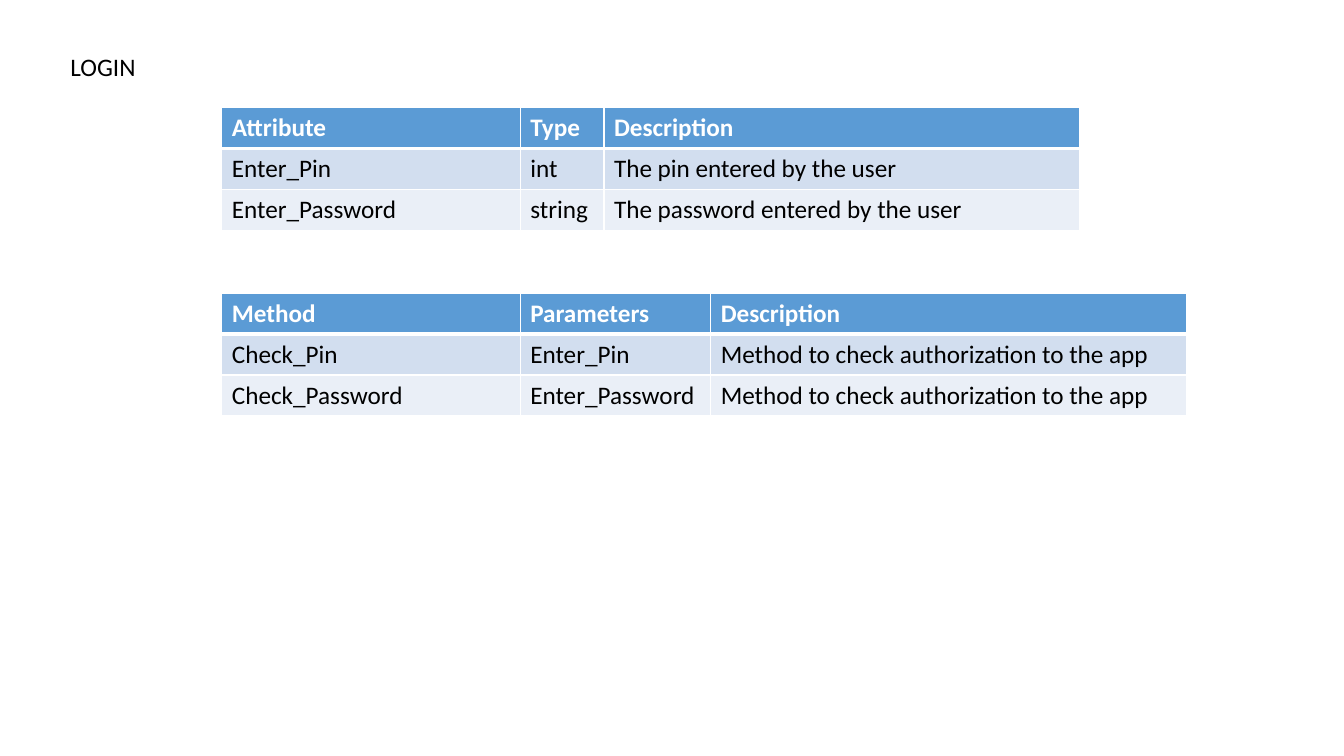
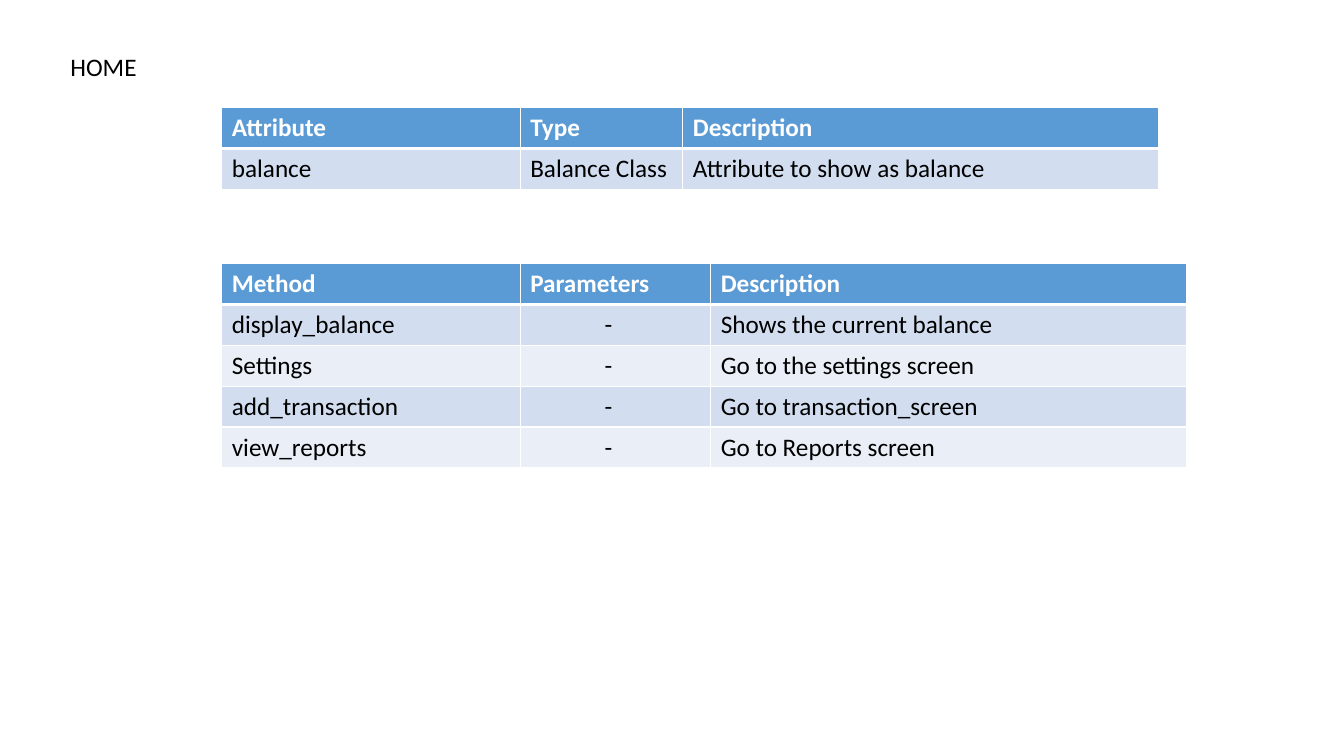
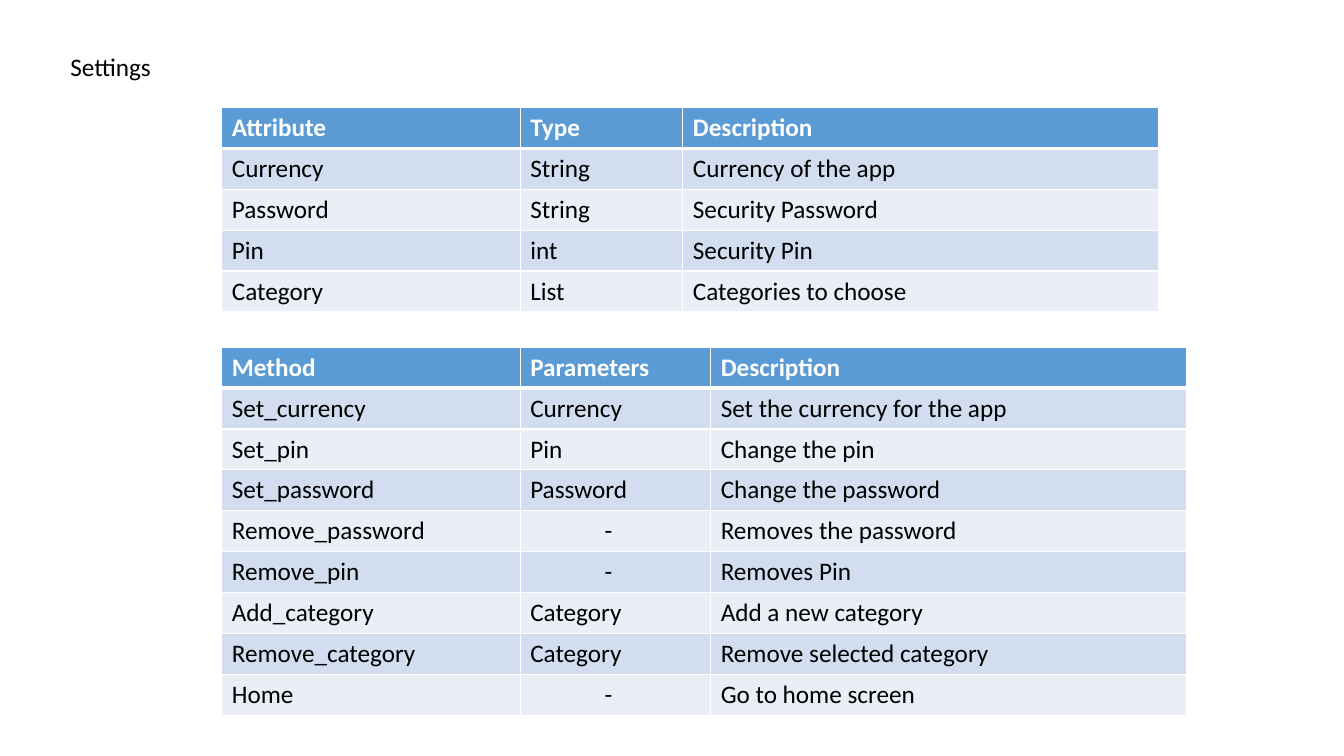
from pptx import Presentation
from pptx.dml.color import RGBColor as RGB
from pptx.enum.text import MSO_ANCHOR as ANCHOR, MSO_AUTO_SIZE as AUTO, PP_ALIGN as ALIGN
from pptx.oxml.xmlchemy import OxmlElement as Element
from pptx.util import Cm, Pt

COLORS = {"header": "5B9BD5", "odd": "D2DEEF", "even": "EAEFF7",
          "white": "FFFFFF", "text": "000000"}
FONT, SIZE = "Calibri", 18
LEFT, TOP, ROW_H = 5.59, 2.71, 1.03
NAME_W, PARAM_W, DESC_W = 7.52, 4.8, 11.99
DASH_INDENT = 1.87
ATTRIBUTE_HEAD = ("Attribute", "Type", "Description")
METHOD_HEAD = ("Method", "Parameters", "Description")

SCREENS = [
    {"title": "LOGIN", "type_w": 2.11, "method_top": 7.39,
     "attributes": [
         ("Enter_Pin", "int", "The pin entered by the user"),
         ("Enter_Password", "string", "The password entered by the user")],
     "methods": [
         ("Check_Pin", "Enter_Pin", "Method to check authorization to the app"),
         ("Check_Password", "Enter_Password", "Method to check authorization to the app")]},
    {"title": "HOME", "type_w": 4.1, "method_top": 6.64,
     "attributes": [
         ("balance", "Balance Class", "Attribute to show as balance")],
     "methods": [
         ("display_balance", "-", "Shows the current balance"),
         ("Settings", "-", "Go to the settings screen"),
         ("add_transaction", "-", "Go to transaction_screen"),
         ("view_reports", "-", "Go to Reports screen")]},
    {"title": "Settings", "type_w": 4.1, "method_top": 8.75,
     "attributes": [
         ("Currency", "String", "Currency of the app"),
         ("Password", "String", "Security Password"),
         ("Pin", "int", "Security Pin"),
         ("Category", "List", "Categories to choose")],
     "methods": [
         ("Set_currency", "Currency", "Set the currency for the app"),
         ("Set_pin", "Pin", "Change the pin"),
         ("Set_password", "Password", "Change the password"),
         ("Remove_password", "-", "Removes the password"),
         ("Remove_pin", "-", "Removes Pin"),
         ("Add_category", "Category", "Add a new category"),
         ("Remove_category", "Category", "Remove selected category"),
         ("Home", "-", "Go to home screen")]},
]


def add_run(p, text, color, bold=False):
    """Add one run in the shared font."""
    r = p.add_run()
    r.text = text
    r.font.name, r.font.size, r.font.bold = FONT, Pt(SIZE), bold
    r.font.color.rgb = RGB.from_string(COLORS[color])


def set_borders(cell, top, bottom):
    """Draw white cell borders, with top and bottom widths in points."""
    tc_pr = cell._tc.get_or_add_tcPr()
    for side, width in (("L", 1), ("R", 1), ("T", top), ("B", bottom)):
        ln = Element(f"a:ln{side}")
        ln.set("w", str(Pt(width)))
        fill, clr = Element("a:solidFill"), Element("a:srgbClr")
        clr.set("val", COLORS["white"])
        fill.append(clr)
        ln.append(fill)
        tc_pr.append(ln)


def fill_cell(cell, text, row):
    """Style a cell by its row and write its text."""
    header = row == 0
    set_borders(cell, 3 if row == 1 else 1, 3 if header else 1)
    band = "header" if header else "odd" if row % 2 else "even"
    cell.fill.solid()
    cell.fill.fore_color.rgb = RGB.from_string(COLORS[band])
    p = cell.text_frame.paragraphs[0]
    if text == "-":
        p._p.get_or_add_pPr().set("marL", str(Cm(DASH_INDENT)))
    add_run(p, text, "white" if header else "text", header)


def add_grid(s, left, top, widths, rows):
    """Place a banded table whose first row is the header."""
    table = s.shapes.add_table(len(rows), len(widths), Cm(left), Cm(top),
                               Cm(sum(widths)), Cm(ROW_H * len(rows))).table
    for col, width in zip(table.columns, widths):
        col.width = Cm(width)
    for i, values in enumerate(rows):
        table.rows[i].height = Cm(ROW_H)
        for j, text in enumerate(values):
            fill_cell(table.cell(i, j), text, i)


def add_title(s, text):
    """Place and format the slide title."""
    sp = s.shapes.title
    sp.left, sp.top, sp.width, sp.height = Cm(1.52), Cm(1.17), Cm(2.95), Cm(1.03)
    tf = sp.text_frame
    tf.word_wrap, tf.auto_size = True, AUTO.SHAPE_TO_FIT_TEXT
    tf.vertical_anchor = ANCHOR.TOP
    p = tf.paragraphs[0]
    p.alignment = ALIGN.LEFT
    add_run(p, text, "text")


def add_screen(prs, screen):
    """Add the slide that documents one screen class."""
    s = prs.slides.add_slide(prs.slide_layouts[5])
    add_title(s, screen["title"])
    add_grid(s, LEFT, TOP, (NAME_W, screen["type_w"], DESC_W),
             [ATTRIBUTE_HEAD, *screen["attributes"]])
    add_grid(s, LEFT, screen["method_top"], (NAME_W, PARAM_W, DESC_W),
             [METHOD_HEAD, *screen["methods"]])


def main():
    """Build and save the deck."""
    prs = Presentation()
    prs.slide_width, prs.slide_height = Cm(33.87), Cm(19.05)
    for screen in SCREENS:
        add_screen(prs, screen)
    prs.save("out.pptx")


if __name__ == "__main__":
    main()
